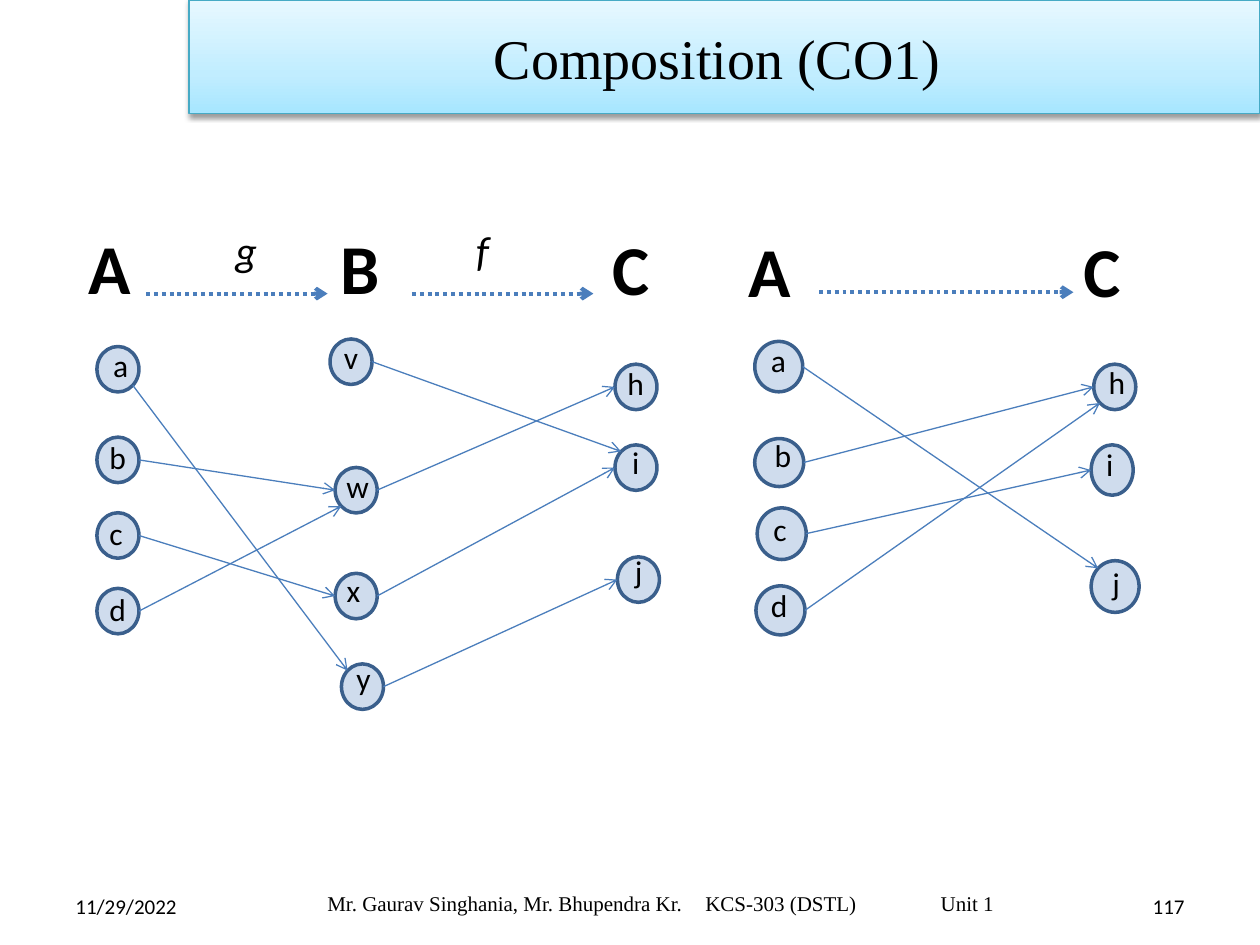
import pptx
import pptx.util
import pptx.oxml
import pptx.dml.color
import pptx.enum.dml
import pptx.enum.shapes
import pptx.enum.text
import lxml.etree

Pt = pptx.util.Pt
ALIGN = pptx.enum.text.PP_ALIGN
ANCHOR = pptx.enum.text.MSO_ANCHOR
NS = "http://schemas.openxmlformats.org/drawingml/2006/main"

COLORS = {"text": "000000", "node": "4F81BD", "node_line": "3A5F8C",
          "arrow": "4B7EBC", "title_line": "46AAC5"}
TITLE_STOPS = [(0, "A7E6FF"), (35, "C1EDFF"), (100, "E7F8FF")]

# Set names and function names: text, left, top, width, height
SET_NAMES = [("A", 43.2, 124.6, 54, 67), ("B", 187.2, 124.6, 54, 67),
             ("C", 342.7, 125.3, 54, 67), ("A", 420.5, 126.7, 50.4, 51),
             ("C", 612, 126.7, 43.9, 66)]
FUNCTIONS = [("g", 127.4, 124.6, 28, 26), ("f", 265, 124.6, 28, 44)]
# Dotted arrows between sets: start, end, height on the slide
MAPPINGS = [(83.5, 187.2, 167.8), (235.4, 339.1, 167.8), (468, 613.4, 167)]

# Elements by diagram: letter -> circle (left, top, width, height), label (left, top, width)
SMALL = (24, 26)
COMPOSED = {
    "a": ((55.4, 198, *SMALL), (57.6, 194.4, 16)),
    "b": ((55.4, 249.8, *SMALL), (55.4, 247, 16)),
    "c": ((55.4, 293, *SMALL), (55.4, 290.2, 16)),
    "d": ((55.4, 336.2, *SMALL), (55.4, 333.4, 16)),
    "v": ((188.6, 193.7, *SMALL), (189.4, 189.4, 18)),
    "w": ((191.5, 267.1, *SMALL), (190.8, 263.5, 16)),
    "x": ((191.5, 327.6, *SMALL), (195.1, 322.6, 10)),
    "y": ((195.1, 379.4, *SMALL), (196.6, 373, 16)),
    "h": ((351.4, 208.1, *SMALL), (351.4, 204.5, 16)),
    "i": ((351.4, 254.2, *SMALL), (354.2, 249.8, 16)),
    "j": ((352.8, 318.2, *SMALL), (355.7, 311.8, 18)),
}
RESULT = {
    "a": ((431.3, 195.1, 27.4, 28.8), (433.4, 191.5, 22.3)),
    "b": ((431.3, 250.6, 28, 27.4), (435.6, 245.5, 22.3)),
    "c": ((432.7, 290.2, 28, 29.5), (434.9, 288, 22.3)),
    "d": ((432, 334.8, 28, 28), (433.4, 331.2, 22.3)),
    "h": ((625, 208.1, *SMALL), (626.4, 203.8, 24.5)),
    "i": ((623.5, 254.2, 24, 28.8), (625, 250.6, 18)),
    "j": ((623.5, 320.4, 27.4, 29.5), (628.6, 319, 22.3)),
}

# Points on a circle, as steps from its centre in radii
DIAGONAL = 0.707
SITES = {"left": (-1, 0), "right": (1, 0), "upper left": (-DIAGONAL, -DIAGONAL),
         "lower left": (-DIAGONAL, DIAGONAL), "lower right": (DIAGONAL, DIAGONAL)}
# Arrows: from, its site, to, its site
COMPOSED_ARROWS = [
    ("a", "lower right", "y", "upper left"), ("b", "right", "w", "left"),
    ("c", "right", "x", "left"), ("d", "right", "w", "lower left"),
    ("v", "right", "i", "upper left"), ("w", "right", "h", "left"),
    ("x", "right", "i", "left"), ("y", "right", "j", "left")]
RESULT_ARROWS = [
    ("a", "right", "j", "upper left"), ("b", "right", "h", "left"),
    ("c", "right", "i", "left"), ("d", "right", "h", "lower left")]


def rgb(name):
    return pptx.dml.color.RGBColor.from_string(COLORS[name])


def write(para, words, size, face="Calibri", bold=False, italic=False):
    span = para.add_run()
    span.text = words
    span.font.size = Pt(size)
    span.font.name = face
    span.font.bold = bold
    span.font.italic = italic
    span.font.color.rgb = rgb("text")


def add_text(words, left, top, width, height, size, **style):
    box = slide.shapes.add_textbox(Pt(left), Pt(top), Pt(width), Pt(height))
    box.text_frame.word_wrap = True
    box.text_frame.auto_size = pptx.enum.text.MSO_AUTO_SIZE.SHAPE_TO_FIT_TEXT
    write(box.text_frame.paragraphs[0], words, size, **style)


def add_footer(words, left, top, width, size, align, face="Calibri", tabs=()):
    box = slide.shapes.add_textbox(Pt(left), Pt(top), Pt(width), Pt(34.5))
    frame = box.text_frame
    frame.word_wrap = True
    frame.margin_right = Pt(7.2 if not tabs else 0)
    frame.vertical_anchor = ANCHOR.MIDDLE
    para = frame.paragraphs[0]
    para.alignment = align
    if tabs:
        tab_list = lxml.etree.SubElement(para._p.get_or_add_pPr(), f"{{{NS}}}tabLst")
        for stop in tabs:
            lxml.etree.SubElement(tab_list, f"{{{NS}}}tab", pos=str(Pt(stop)), algn="l")
    write(para, words, size, face)


def add_arrow(start, end, weight, dotted=False):
    arrow = slide.shapes.add_connector(
        pptx.enum.shapes.MSO_CONNECTOR.STRAIGHT, *(Pt(v) for v in (*start, *end)))
    arrow.line.color.rgb = rgb("arrow")
    arrow.line.width = Pt(weight)
    if dotted:
        arrow.line.dash_style = pptx.enum.dml.MSO_LINE.ROUND_DOT
    lxml.etree.SubElement(arrow.line._get_or_add_ln(), f"{{{NS}}}tailEnd", type="arrow")
    lxml.etree.SubElement(arrow._element.spPr, f"{{{NS}}}effectLst")


def site_point(circle, site):
    left, top, width, height = circle
    step_x, step_y = SITES[site]
    return left + width / 2 * (1 + step_x), top + height / 2 * (1 + step_y)


def add_diagram(elements, arrows):
    for letter, (circle, (left, top, width)) in elements.items():
        node = slide.shapes.add_shape(
            pptx.enum.shapes.MSO_SHAPE.FLOWCHART_CONNECTOR, *(Pt(v) for v in circle))
        node.shadow.inherit = False
        node.fill.solid()
        node.fill.fore_color.rgb = rgb("node")
        color = node._element.spPr.find(f"{{{NS}}}solidFill/{{{NS}}}srgbClr")
        lxml.etree.SubElement(color, f"{{{NS}}}alpha", val="27000")
        node.line.color.rgb = rgb("node_line")
        node.line.width = Pt(2)
        add_text(letter, left, top, width, 29, 18)
    for source, source_site, target, target_site in arrows:
        add_arrow(site_point(elements[source][0], source_site),
                  site_point(elements[target][0], target_site), 0.75)


deck = pptx.Presentation()
deck.slide_width, deck.slide_height = Pt(720), Pt(540)
slide = deck.slides.add_slide(deck.slide_layouts[5])

# Title band with gradient and shadow
title = slide.shapes.title
title.left, title.top, title.width, title.height = Pt(108), Pt(0), Pt(612), Pt(64.8)
stops = "".join(f'<a:gs pos="{place * 1000}"><a:srgbClr val="{color}"/></a:gs>'
                for place, color in TITLE_STOPS)
title._element.spPr.append(pptx.oxml.parse_xml(
    f'<a:gradFill xmlns:a="{NS}" rotWithShape="1"><a:gsLst>{stops}</a:gsLst>'
    '<a:lin ang="16200000" scaled="0"/></a:gradFill>'))
title.line.color.rgb = rgb("title_line")
title.line.width = Pt(0.75)
title._element.spPr.append(pptx.oxml.parse_xml(
    f'<a:effectLst xmlns:a="{NS}"><a:outerShdw blurRad="{Pt(3.1)}" dist="{Pt(1.6)}" '
    'dir="5400000" rotWithShape="0"><a:srgbClr val="000000"><a:alpha val="38000"/>'
    '</a:srgbClr></a:outerShdw></a:effectLst>'))
title.text_frame.vertical_anchor = ANCHOR.MIDDLE
title.text_frame.paragraphs[0].alignment = ALIGN.CENTER
write(title.text_frame.paragraphs[0], "Composition (CO1) ", 32, "Times New Roman")

# Headings of the sets and the functions between them
for words, *place in SET_NAMES:
    add_text(words, *place, 40, bold=True)
for words, *place in FUNCTIONS:
    add_text(words, *place, 24, italic=True)
for start, end, level in MAPPINGS:
    add_arrow((start, level), (end, level), 2.25, dotted=True)

# The two functions on the left, their composition on the right
add_diagram(COMPOSED, COMPOSED_ARROWS)
add_diagram(RESULT, RESULT_ARROWS)

# Footer
add_footer("11/29/2022", 36, 500.5, 168, 12, ALIGN.LEFT)
add_footer("Mr. Gaurav Singhania, Mr. Bhupendra Kr.\tKCS-303 (DSTL)\tUnit 1",
           180, 499, 396, 12, ALIGN.LEFT, "Times New Roman", tabs=(216, 350.5))
add_footer("117", 516, 500.5, 168, 12, ALIGN.RIGHT)

deck.save("out.pptx")
